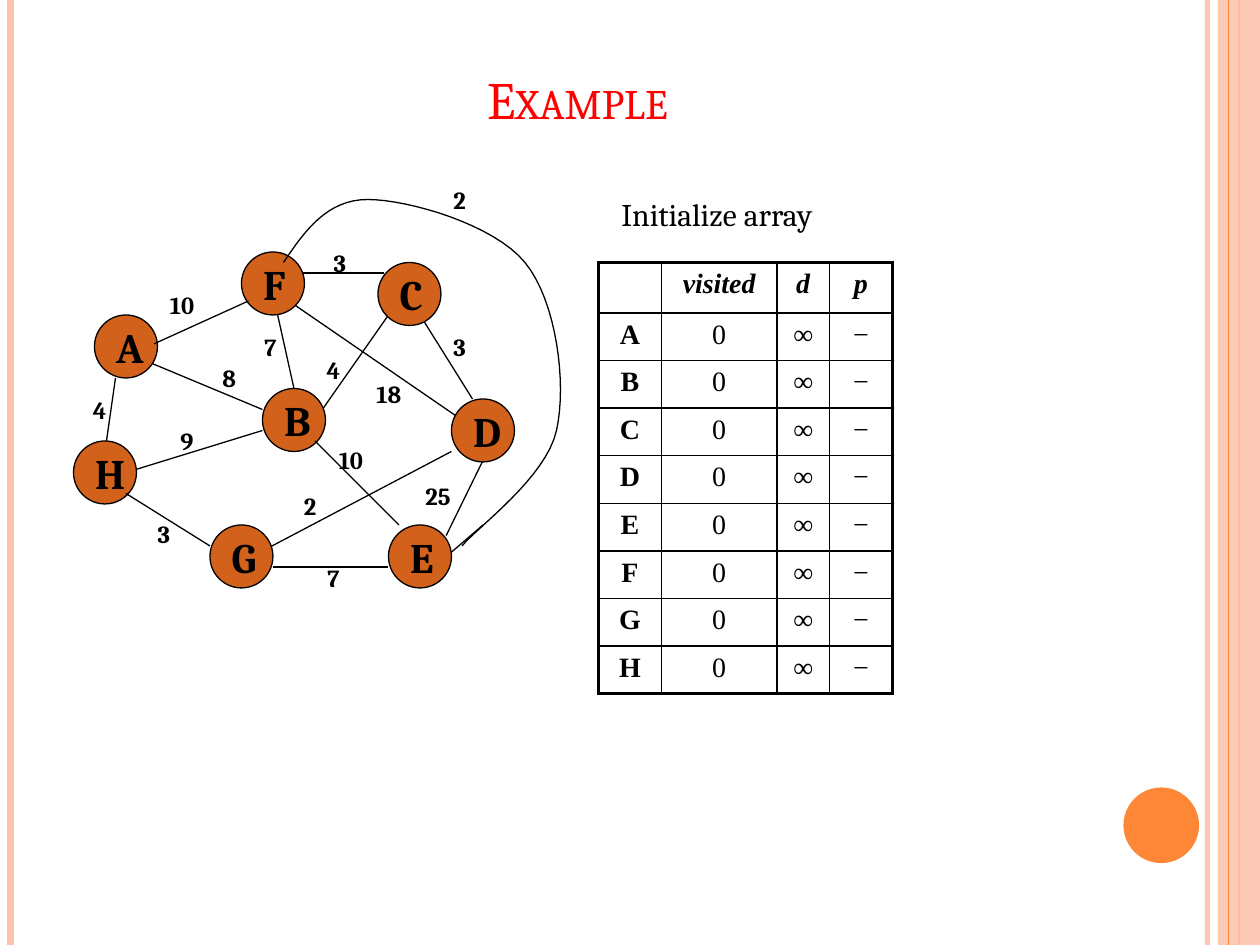
"""Draw a weighted graph beside its starting array."""
import pptx
import pptx.util
import pptx.dml.color
import pptx.enum.shapes
import pptx.enum.text
import pptx.oxml
import pptx.oxml.ns

Pt = pptx.util.Pt
Shape = pptx.enum.shapes.MSO_SHAPE
Align = pptx.enum.text.PP_ALIGN
Anchor = pptx.enum.text.MSO_ANCHOR
qn = pptx.oxml.ns.qn
COLORS = {"ink": "000000", "title": "FF0000", "node": "D2611C",
          "pale": "FEC3AE", "warm": "FE8637"}


def rgb(name):
    return pptx.dml.color.RGBColor.from_string(COLORS[name])


def sub(node, tag, **attrs):
    child = node.makeelement(qn(tag), attrs)
    node.append(child)
    return child


def fade(shape, share):
    for color in shape._element.spPr.iter(qn("a:srgbClr")):
        sub(color, "a:alpha", val=str(share * 1000))


def write(frame, text, size=14, font="Cambria", color="ink", bold=False,
          italic=False, align=Align.LEFT, caps=False):
    para = frame.paragraphs[0]
    para.alignment = align
    run = para.add_run()
    run.text = text
    style = run.font
    style.size, style.name = Pt(size), font
    style.bold, style.italic = bold, italic
    style.color.rgb = rgb(color)
    if caps:
        run._r.get_or_add_rPr().set("cap", "small")


class Board:
    def __init__(self, slide, thin=0.75):
        self.slide, self.shapes, self.thin = slide, slide.shapes, thin

    def title(self, text, x, y, w, h):
        box = self.shapes.title
        box.left, box.top, box.width, box.height = map(Pt, (x, y, w, h))
        box.text_frame.vertical_anchor = Anchor.BOTTOM
        write(box.text_frame, text, size=30, color="title",
              align=Align.CENTER, caps=True)

    def label(self, text, x, y, w, h=24, **style):
        box = self.shapes.add_textbox(Pt(x), Pt(y), Pt(w), Pt(h))
        box.text_frame.word_wrap = True
        write(box.text_frame, text, **style)

    def line(self, x1, y1, x2, y2, color="ink", width=None):
        line = self.shapes.add_connector(
            pptx.enum.shapes.MSO_CONNECTOR.STRAIGHT,
            Pt(x1), Pt(y1), Pt(x2), Pt(y2))
        line.line.color.rgb = rgb(color)
        line.line.width = Pt(width or self.thin)
        sub(line._element.spPr, "a:effectLst")
        return line

    def solid(self, kind, x, y, w, h, fill):
        shape = self.shapes.add_shape(kind, Pt(x), Pt(y), Pt(w), Pt(h))
        shape.shadow.inherit = False
        shape.fill.solid()
        shape.fill.fore_color.rgb = rgb(fill)
        shape.line.fill.background()
        return shape

    def node(self, name, x, y, size=36):
        disc = self.solid(Shape.OVAL, x, y, size, size, "node")
        disc.line.color.rgb = rgb("ink")
        disc.line.width = Pt(self.thin)
        disc.text_frame.word_wrap = False
        disc.text_frame.vertical_anchor = Anchor.MIDDLE
        write(disc.text_frame, name, size=24, bold=True)

    def curve(self, start, parts, steps=16):
        dots, last = [], start
        for one, two, end in parts:
            for step in range(1, steps + 1):
                t = step / steps
                u = 1 - t
                dots.append(tuple(
                    Pt(u**3 * a + 3*u*u*t * b + 3*u*t*t * c + t**3 * d)
                    for a, b, c, d in zip(last, one, two, end)))
            last = end
        path = self.shapes.build_freeform(Pt(start[0]), Pt(start[1]))
        path.add_line_segments(dots, close=False)
        shape = path.convert_to_shape()
        shape.shadow.inherit = False
        shape.fill.background()
        shape.line.color.rgb = rgb("ink")
        shape.line.width = Pt(self.thin)

    def table(self, rows, x, y, widths, high):
        tall, wide = len(rows), len(widths)
        grid = self.shapes.add_table(tall, wide, Pt(x), Pt(y),
                                     Pt(sum(widths)), Pt(high * tall)).table
        for col, width in zip(grid.columns, widths):
            col.width = Pt(width)
        for r, row in enumerate(rows):
            grid.rows[r].height = Pt(high)
            for c, text in enumerate(row):
                cell = grid.cell(r, c)
                write(cell.text_frame, text, size=16, font="Times New Roman",
                      bold=r == 0 or c == 0, italic=r == 0,
                      align=Align.CENTER)
                outer = {"a:lnL": c == 0, "a:lnR": c == wide - 1,
                         "a:lnT": r == 0, "a:lnB": r == tall - 1}
                props = cell._tc.get_or_add_tcPr()
                for tag, edge in outer.items():
                    side = sub(props, tag, w=str(Pt(2.25 if edge else 1)))
                    fill = sub(side, "a:solidFill")
                    sub(fill, "a:srgbClr", val=COLORS["ink"])
                cell.fill.background()


deck = pptx.Presentation()
deck.slide_width, deck.slide_height = Pt(720), Pt(540)
board = Board(deck.slides.add_slide(deck.slide_layouts[5]))

fade(board.line(690, 0, 690, 540, "pale", 3), 93)
board.line(6, 0, 6, 540, "pale", 4.5)
board.line(708, 0, 708, 540, "warm", 1.5)
fade(board.solid(Shape.RECTANGLE, 696, 0, 24, 540, "pale"), 87)
board.line(702, 0, 702, 540, "warm")
board.solid(Shape.OVAL, 642, 450, 43.2, 43.2, "warm")

board.title("Example", 36, 21.6, 588, 56.4)
board.label("Initialize array", 348, 108, 162, 29, size=18)
NODES = {"A": (54, 180), "H": (42, 252), "B": (150, 222), "F": (138, 144),
         "E": (222, 300), "D": (258, 228), "C": (216, 150), "G": (120, 300)}
rows = [("", "visited", "d", "p")]
rows += [(name, "0", "∞", "−") for name in sorted(NODES)]
board.table(rows, 342, 150, (36, 66, 30, 36), 27.2)

BACK = [(284.4, 246, 255, 306), (156, 168, 168, 222), (180, 240, 222, 180),
        (264, 240, 168, 174), (72, 270, 150, 246), (144, 318, 258, 258),
        (60, 258, 66, 216), (78, 204, 150, 234), (171.5, 156, 219.5, 156),
        (240, 180, 270, 228)]
FRONT = [(180, 252, 228, 300), (222, 324, 156, 324), (120, 312, 72, 282),
         (88, 196.5, 142, 172), (276, 300, 258, 315.5)]
for edge in BACK:
    board.line(*edge)
for name, spot in NODES.items():
    board.node(name, *spot)
for edge in FRONT:
    board.line(*edge)
board.curve((162, 150), [((174, 132), (187, 114), (210, 114)),
                         ((233, 114), (282, 128), (300, 150)),
                         ((318, 172), (324, 219), (318, 246)),
                         ((312, 273), (273, 301), (264, 312))])

COSTS = [("4", 46, 222), ("25", 236, 271.5), ("7", 180, 318),
         ("2", 166.5, 277), ("10", 186.5, 250.5), ("18", 208, 213),
         ("3", 252, 186), ("4", 179.5, 199.5), ("3", 183.5, 138),
         ("7", 144, 186), ("8", 120, 204), ("9", 96, 240), ("3", 83, 293),
         ("10", 90, 162), ("2", 252, 102)]
for cost, x, y in COSTS:
    board.label(cost, x, y, 24 if len(cost) == 1 else 37, bold=True)

deck.save("out.pptx")
